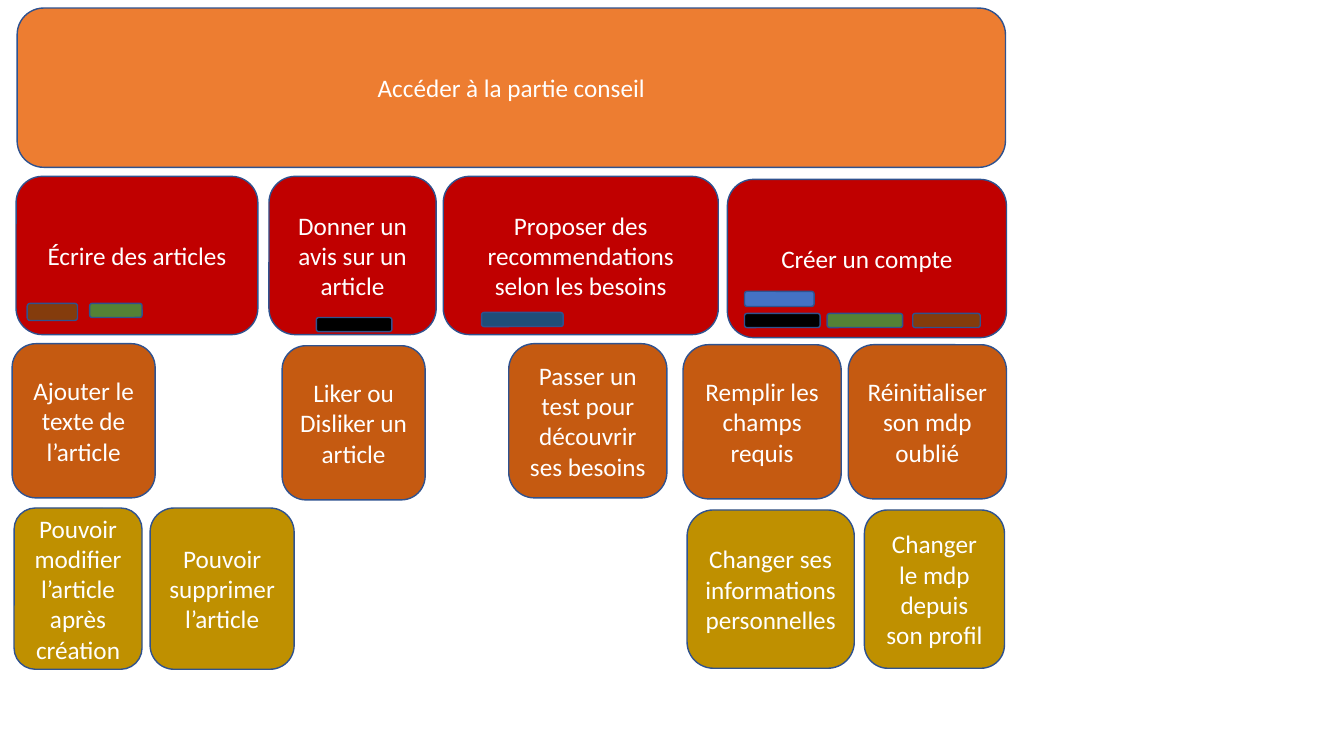
from pptx import Presentation
from pptx.dml.color import RGBColor
from pptx.enum.shapes import MSO_SHAPE as SHAPE
from pptx.enum.text import MSO_ANCHOR as ANCHOR, PP_ALIGN as ALIGN
from pptx.util import Inches, Pt

WHITE = RGBColor(0xFF, 0xFF, 0xFF)
BLACK = RGBColor(0x00, 0x00, 0x00)
OUTLINE = RGBColor(0x2F, 0x52, 0x8F)
ORANGE = RGBColor(0xED, 0x7D, 0x31)
RED = RGBColor(0xC0, 0x00, 0x00)
RUST = RGBColor(0xC5, 0x5A, 0x11)
GOLD = RGBColor(0xBF, 0x90, 0x00)
GREEN = RGBColor(0x54, 0x82, 0x35)
BROWN = RGBColor(0x84, 0x3C, 0x0C)
NAVY = RGBColor(0x1F, 0x4E, 0x79)
BLUE = RGBColor(0x44, 0x72, 0xC4)

# Grid: ten columns and ten rows to the inch
COLS, ROWS = 133.4, 75

# Bands of the story map: colour, then cards (text, left, top, width, height)
BANDS = [
    (ORANGE, [("Accéder à la partie conseil", 1.7, 0.8, 98.1, 15.8)]),
    (RED, [
        ("Écrire des articles", 1.6, 17.5, 24, 15.7),
        ("Donner un avis sur un article", 26.7, 17.5, 16.6, 15.7),
        ("Proposer des recommendations selon les besoins", 44, 17.5, 27.3, 15.7),
        ("Créer un compte", 72.2, 17.8, 27.7, 15.7),
    ]),
    (RUST, [
        ("Ajouter le texte de l’article", 1.2, 34.1, 14.2, 15.3),
        ("Liker ou Disliker un article", 28, 34.3, 14.2, 15.3),
        ("Passer un test pour découvrir ses besoins", 50.5, 34.1, 15.7, 15.3),
        ("Remplir les champs requis", 67.8, 34.2, 15.7, 15.3),
        ("Réinitialiser son mdp oublié", 84.2, 34.2, 15.7, 15.3),
    ]),
    (GOLD, [
        ("Pouvoir modifier l’article après création", 1.4, 50.4, 12.7, 16),
        ("Pouvoir supprimer l’article", 14.9, 50.4, 14.3, 16),
        ("Changer ses informations personnelles", 68.2, 50.6, 16.6, 15.7),
        ("Changer le mdp depuis son profil", 85.8, 50.6, 13.9, 15.7),
    ]),
]

# Role tags: colour, left, top, width, height
TAGS = [
    (BROWN, 2.7, 30.1, 5, 1.7),
    (GREEN, 8.9, 30.1, 5.2, 1.4),
    (BLACK, 31.4, 31.5, 7.5, 1.4),
    (NAVY, 47.8, 31, 8.1, 1.4),
    (BLUE, 73.9, 28.9, 6.9, 1.5),
    (BLACK, 73.9, 31.1, 7.5, 1.4),
    (GREEN, 82.1, 31.1, 7.5, 1.4),
    (BROWN, 90.6, 31.1, 6.7, 1.4),
]


class StoryMap:
    font, size, line = "Calibri", Pt(18), Pt(1)

    def __init__(self, prs):
        self.col = prs.slide_width / COLS
        self.row = prs.slide_height / ROWS
        self.s = prs.slides.add_slide(prs.slide_layouts[6])

    def tag(self, color, left, top, width, height):
        sp = self.s.shapes.add_shape(
            SHAPE.ROUNDED_RECTANGLE,
            round(left * self.col), round(top * self.row),
            round(width * self.col), round(height * self.row))
        sp.shadow.inherit = False
        sp.fill.solid()
        sp.fill.fore_color.rgb = color
        sp.line.color.rgb = OUTLINE
        sp.line.width = self.line
        return sp

    def card(self, color, text, *box):
        tf = self.tag(color, *box).text_frame
        tf.word_wrap = True
        tf.vertical_anchor = ANCHOR.MIDDLE
        tf.text = text
        p = tf.paragraphs[0]
        p.alignment = ALIGN.CENTER
        r = p.runs[0]
        r.font.name = self.font
        r.font.size = self.size
        r.font.color.rgb = WHITE


def main():
    prs = Presentation()
    prs.slide_width, prs.slide_height = Inches(13.34), Inches(7.5)
    story_map = StoryMap(prs)

    # Cards, band by band
    for color, cards in BANDS:
        for card in cards:
            story_map.card(color, *card)

    # Role tags on the red cards
    for tag in TAGS:
        story_map.tag(*tag)

    prs.save("out.pptx")


if __name__ == "__main__":
    main()
